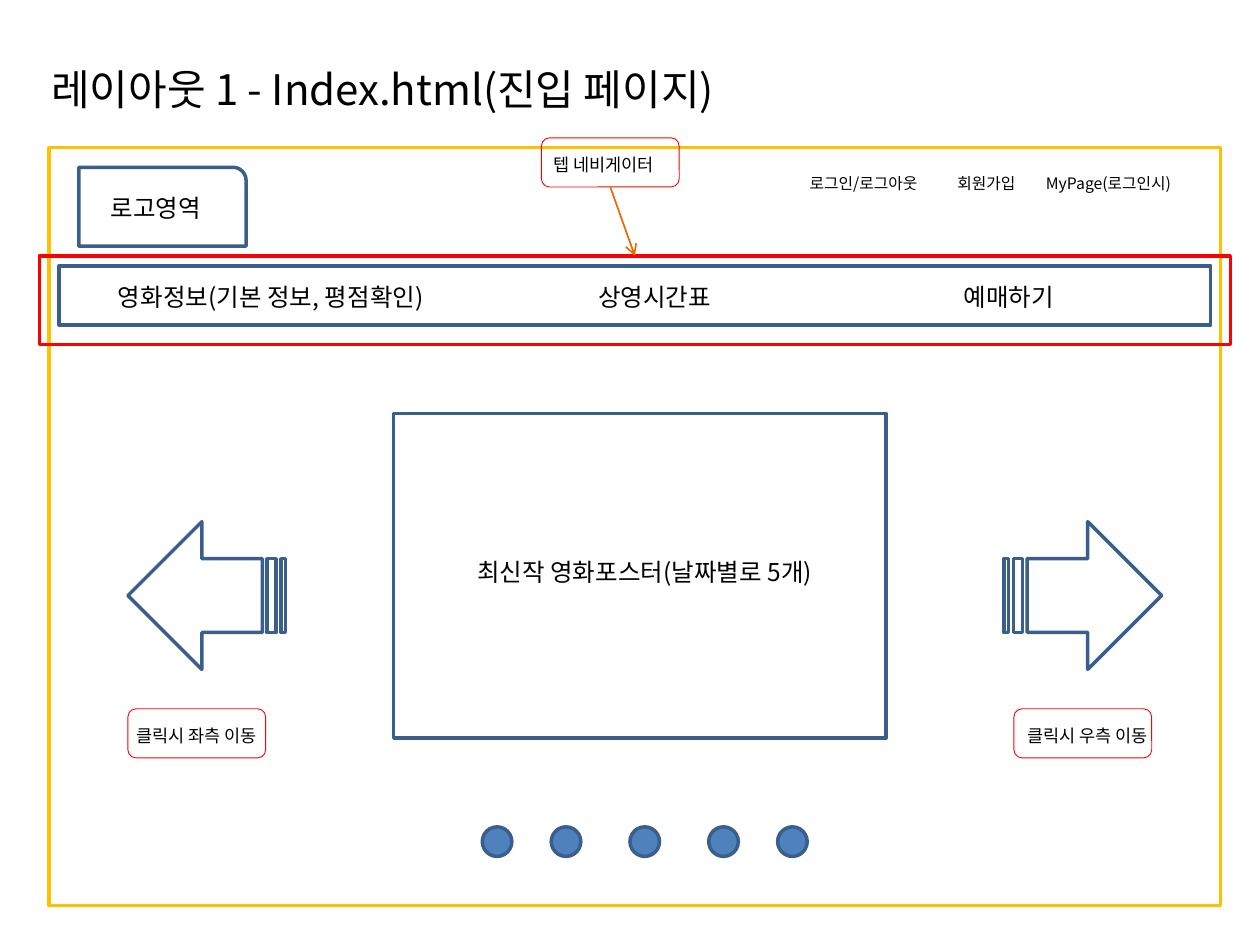
"""Build the index page layout wireframe slide."""
from lxml.etree import SubElement
from pptx import Presentation
from pptx.dml.color import RGBColor
from pptx.enum.shapes import MSO_CONNECTOR, MSO_SHAPE as Shape
from pptx.enum.text import MSO_ANCHOR, PP_ALIGN as Align
from pptx.oxml.ns import qn
from pptx.util import Pt

FONT = "Noto Sans CJK KR"
COLORS = {"text": "000000", "frame": "FFC000", "outline": "3A5F8C",
          "dot": "4F81BD", "note": "FF0000", "pointer": "E46C0A"}
TITLE = "레이아웃 1 - Index.html(진입 페이지)"
TITLE_BOX = (15.75, 14, 620.5, 70.5)

PAGE_FRAME = (28.1, 84.4, 669.4, 433.1)
NAV_BAR = (33.75, 151.9, 658.1, 33.75)
NAV_HIGHLIGHT = (22.5, 146.25, 680.6, 50.6)
POSTER = (225, 236.25, 281.25, 185.6)
LOGO = (45, 95.6, 95.6, 45)

ACCOUNT_TOP, ACCOUNT_HEIGHT = 95.6, 18.2
ACCOUNT_LINKS = [("로그인/로그아웃", 455.6, 84.4), ("회원가입", 540, 84.4),
                 ("MyPage(로그인시)", 590.6, 90)]
MENU_TOP, MENU_HEIGHT = 157.5, 24.2
MENU = [("영화정보(기본 정보, 평점확인)", 45, 219.4), ("상영시간표", 298.1, 151.9),
        ("예매하기", 517.5, 118.1)]
POSTER_LABEL = ("최신작 영화포스터(날짜별로 5개)", (230.6, 315, 275.6, 24.2))
LOGO_LABEL = ("로고영역", (56.25, 106.9, 84.4, 24.2))

ARROW_TOP, ARROW_SIZE = 298.1, (90, 84.4)
ARROWS = [(573.75, 0), (73.1, 180)]
DOT_TOP, DOT_SIZE, DOT_MIDDLE = 472.5, 16.9, 360
DOT_OFFSETS = [-84.4, -45, 0, 45, 84.4]

NOTE_SIZE = (78.75, 28.1)
NOTES = [("텝 네비게이터", (309.4, 78.75), 309.4, 84.4, Align.LEFT),
         ("클릭시 좌측 이동", (73.1, 405), 61.9, 101.25, Align.CENTER),
         ("클릭시 우측 이동", (579.4, 405), 573.75, 95.6, Align.CENTER)]
NOTE_POINTER = (348.75, 106.9, 362.8, 146.25)


def points(values):
    return [Pt(value) for value in values]


def rgb(name):
    return RGBColor.from_string(COLORS[name])


def style_run(run, size):
    run.font.size = Pt(size)
    run.font.color.rgb = rgb("text")
    run.font.name = FONT
    SubElement(run.font._element, qn("a:ea")).set("typeface", FONT)


def add_outline(shapes, kind, box, line="outline", weight=2, fill=None):
    outline = shapes.add_shape(kind, *points(box))
    outline.shadow.inherit = False
    if fill:
        outline.fill.solid()
        outline.fill.fore_color.rgb = rgb(fill)
    else:
        outline.fill.background()
    outline.line.color.rgb = rgb(line)
    outline.line.width = Pt(weight)
    return outline


def add_label(shapes, words, box, size, align=Align.LEFT):
    frame = shapes.add_textbox(*points(box)).text_frame
    frame.word_wrap = True
    frame.text = words
    frame.paragraphs[0].alignment = align
    style_run(frame.paragraphs[0].runs[0], size)


def add_title(slide):
    title = slide.shapes.title
    title.left, title.top, title.width, title.height = points(TITLE_BOX)
    frame = title.text_frame
    frame.vertical_anchor = MSO_ANCHOR.MIDDLE
    paragraph = frame.paragraphs[0]
    paragraph.alignment = Align.LEFT
    for words, size in [(" ", 28), (TITLE, 24)]:
        run = paragraph.add_run()
        run.text = words
        style_run(run, size)


def add_pointer(shapes):
    pointer = shapes.add_connector(MSO_CONNECTOR.STRAIGHT, *points(NOTE_POINTER))
    pointer.line.color.rgb = rgb("pointer")
    pointer.line.width = Pt(1)
    SubElement(pointer.line._get_or_add_ln(), qn("a:tailEnd")).set("type", "arrow")
    SubElement(pointer._element.spPr, qn("a:effectLst"))


def main():
    deck = Presentation()
    deck.slide_width, deck.slide_height = Pt(720), Pt(540)
    slide = deck.slides.add_slide(deck.slide_layouts[5])
    shapes = slide.shapes
    add_title(slide)

    add_outline(shapes, Shape.RECTANGLE, PAGE_FRAME, "frame")
    for words, left, width in ACCOUNT_LINKS:
        add_label(shapes, words, (left, ACCOUNT_TOP, width, ACCOUNT_HEIGHT), 9)

    logo = shapes.add_group_shape().shapes
    add_outline(logo, Shape.ROUND_1_RECTANGLE, LOGO)
    add_label(logo, *LOGO_LABEL, 14)

    add_outline(shapes, Shape.RECTANGLE, NAV_BAR)
    for words, left, width in MENU:
        add_label(shapes, words, (left, MENU_TOP, width, MENU_HEIGHT), 14, Align.CENTER)

    for left, rotation in ARROWS:
        arrow = add_outline(shapes, Shape.STRIPED_RIGHT_ARROW, (left, ARROW_TOP, *ARROW_SIZE))
        arrow.rotation = rotation
    for offset in DOT_OFFSETS:
        add_outline(shapes, Shape.OVAL,
                    (DOT_MIDDLE + offset, DOT_TOP, DOT_SIZE, DOT_SIZE), fill="dot")

    add_outline(shapes, Shape.RECTANGLE, POSTER)
    add_label(shapes, *POSTER_LABEL, 14, Align.CENTER)
    add_outline(shapes, Shape.RECTANGLE, NAV_HIGHLIGHT, "note")

    for words, (left, top), label_left, label_width, align in NOTES:
        note = shapes.add_group_shape().shapes
        add_outline(note, Shape.ROUNDED_RECTANGLE, (left, top, *NOTE_SIZE), "note", 0.5)
        add_label(note, words, (label_left, top + 5.6, label_width, 19.4), 10, align)
    add_pointer(shapes)

    deck.save("out.pptx")


if __name__ == "__main__":
    main()
